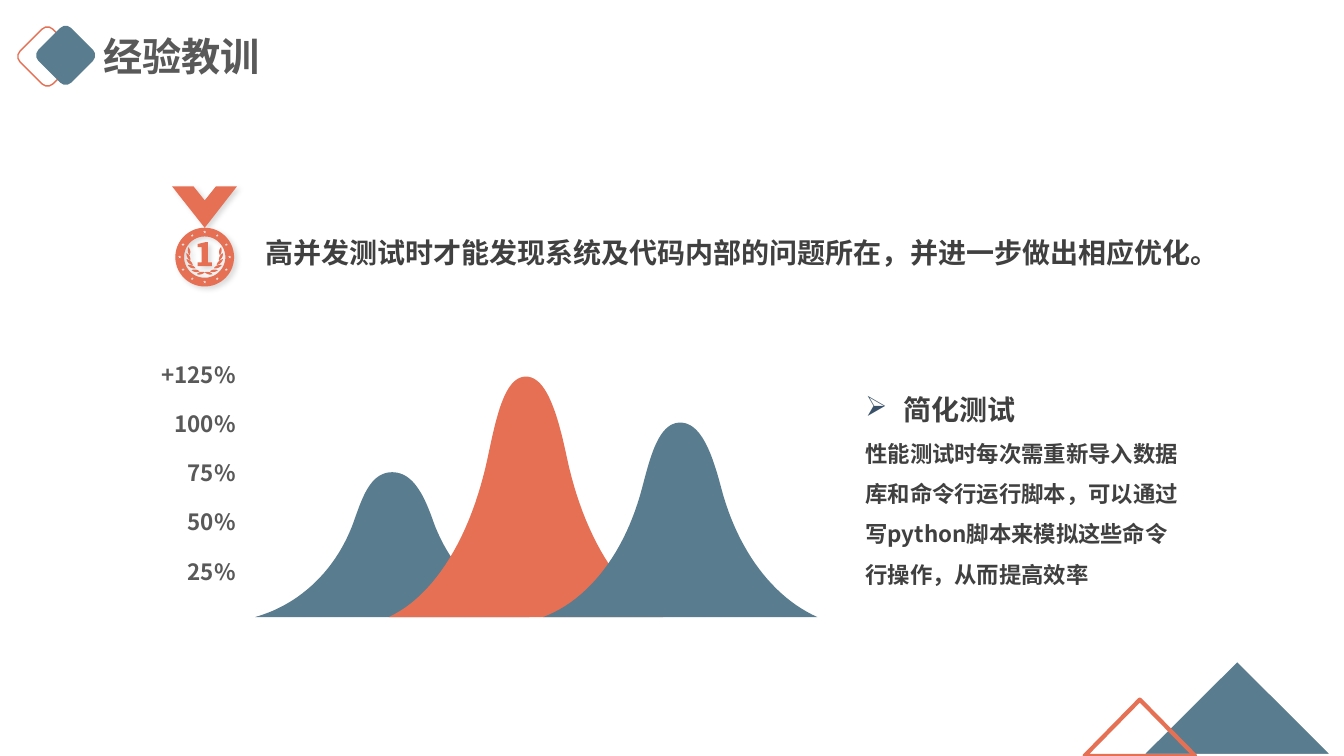
from math import cos, pi, sin

from lxml.etree import SubElement
from pptx import Presentation
from pptx.dml.color import RGBColor
from pptx.enum.shapes import MSO_SHAPE as Preset
from pptx.enum.text import MSO_ANCHOR as Anchor, MSO_AUTO_SIZE as AutoSize, PP_ALIGN as Align
from pptx.oxml.ns import qn
from pptx.util import Cm, Pt

FONT = "Noto Sans CJK SC"
BLUE, ORANGE, WHITE = "597C8F", "E67054", "FFFFFF"
GREY, DARK, ARROW = "595959", "404040", "395269"

BELL_START = (0, 0)
BELL_CURVES = [
    [(0.17, 0.09), (0.3, 0.34), (0.36, 0.66)],
    [(0.39, 0.82), (0.42, 1), (0.5, 1)],
    [(0.58, 1), (0.62, 0.82), (0.65, 0.66)],
    [(0.71, 0.34), (0.84, 0.1), (1, 0)],
]
RIBBON = [(-0.82, -1.78), (-0.28, -1.78), (0, -1.43), (0.28, -1.78), (0.81, -1.78), (0, -0.74)]
NUMERAL = [
    (0.03, -0.38), (0.08, -0.38), (0.08, 0.13), (0.18, 0.13), (0.18, 0.23), (-0.18, 0.23),
    (-0.18, 0.13), (-0.08, 0.13), (-0.08, -0.25), (-0.18, -0.25), (-0.18, -0.33),
]
LEAVES = [
    ((0, 0.38), (0.2, 0.43)), ((0.13, 0.36), (0.33, 0.33)), ((0.23, 0.28), (0.43, 0.2)),
    ((0.3, 0.2), (0.46, 0.05)), ((0.36, 0.08), (0.46, -0.1)), ((0.38, -0.05), (0.41, -0.25)),
]


def colour(hex_value):
    """Turn a hex string into a colour."""
    return RGBColor.from_string(hex_value)


def apply_format(target, values):
    """Set each attribute of the target from a dict."""
    for key, value in values.items():
        setattr(target, key, value)


def paint(shape, fill=None, line=None, width=1):
    """Give a shape its fill and outline, without a shadow."""
    shape.shadow.inherit = False
    for part, value in ((shape.fill, fill), (shape.line.fill, line)):
        if value:
            part.solid()
            part.fore_color.rgb = colour(value)
        else:
            part.background()
    if line:
        shape.line.width = Pt(width)


def add_preset(slide, preset, box, rotation=0, **look):
    """Add a preset shape at a box given in centimetres."""
    shape = slide.shapes.add_shape(preset, *map(Cm, box))
    shape.rotation = rotation
    paint(shape, **look)


def add_outline(slide, contours, fill):
    """Add one filled freeform made of closed contours."""
    contours = [[(Cm(x), Cm(y)) for x, y in contour] for contour in contours]
    builder = slide.shapes.build_freeform(*contours[0][0], scale=1.0)
    for number, (start, *rest) in enumerate(contours):
        if number:
            builder.move_to(*start)
        builder.add_line_segments(rest, close=True)
    shape = builder.convert_to_shape()
    paint(shape, fill)
    return shape


def write_paragraph(paragraph, words, size, shade, **layout):
    """Write bold text into a paragraph."""
    apply_format(paragraph, layout)
    run = paragraph.add_run()
    run.text = words
    apply_format(run.font, {"name": FONT, "size": Pt(size), "bold": True})
    run.font.color.rgb = colour(shade)
    SubElement(run.font._element, qn("a:ea"), typeface=FONT)


def add_text(slide, box, paragraphs, **frame_format):
    """Add a text box holding one paragraph for each dict."""
    frame = slide.shapes.add_textbox(*map(Cm, box)).text_frame
    apply_format(frame, {"word_wrap": True, **frame_format})
    for number, content in enumerate(paragraphs):
        paragraph = frame.add_paragraph() if number else frame.paragraphs[0]
        write_paragraph(paragraph, **content)
    return frame


def add_bullet(paragraph, symbol, shade, indent):
    """Give a paragraph a coloured bullet and a hanging indent."""
    properties = paragraph._p.get_or_add_pPr()
    properties.set("marL", str(Cm(indent)))
    properties.set("indent", str(-Cm(indent)))
    SubElement(SubElement(properties, qn("a:buClr")), qn("a:srgbClr"), val=shade)
    SubElement(properties, qn("a:buChar"), char=symbol)


def add_soft_shadow(shape):
    """Add a faint shadow towards the lower right."""
    effects = shape._element.spPr.find(qn("a:effectLst"))
    shadow = SubElement(effects, qn("a:outerShdw"), blurRad=str(Pt(4)), dist=str(Pt(3)),
                        dir="2700000", algn="tl", rotWithShape="0")
    black = SubElement(shadow, qn("a:srgbClr"), val="000000")
    SubElement(black, qn("a:alpha"), val="15000")


def bezier(points, steps=24):
    """Sample a cubic curve, leaving out its first point."""
    samples = []
    for step in range(1, steps + 1):
        t = step / steps
        weights = ((1 - t) ** 3, 3 * t * (1 - t) ** 2, 3 * t * t * (1 - t), t ** 3)
        samples.append(tuple(sum(w * p[axis] for w, p in zip(weights, points)) for axis in (0, 1)))
    return samples


def add_bell(slide, left, height, fill, base=15.55, width=6.91):
    """Add a bell curve standing on the common base."""
    profile = [BELL_START]
    for curve in BELL_CURVES:
        profile += bezier([profile[-1], *curve])
    add_outline(slide, [[(left + x * width, base - y * height) for x, y in profile]], fill)


def ring(radii, count, centre=(0, 0)):
    """Place points around a centre, alternating between the radii."""
    angles = [2 * pi * i / count - pi / 2 for i in range(count)]
    return [(centre[0] + radii[i % len(radii)] * cos(a), centre[1] + radii[i % len(radii)] * sin(a))
            for i, a in enumerate(angles)]


def leaf(start, tip, side):
    """Outline a lens from start to tip on one side of the wreath."""
    (x1, y1), (x2, y2) = start, tip
    dx, dy = x2 - x1, y2 - y1
    lower, upper = ([(x1 + dx * t - dy * bulge, y1 + dy * t + dx * bulge) for t in (0.3, 0.7)]
                    for bulge in (0.2, -0.2))
    edge = bezier([start, *lower, tip], 8) + bezier([tip, *upper[::-1], start], 8)
    return [(side * x, y) for x, y in edge]


def add_medal(slide, centre_x, centre_y):
    """Add the medal with its ribbon, stars, wreath and numeral."""
    contours = [RIBBON, ring([0.74], 72), ring([0.52], 72), NUMERAL]
    contours += [ring([0.05, 0.02], 10, star) for star in ring([0.63], 12)]
    contours += [leaf(*ends, side) for ends in LEAVES for side in (-1, 1)]
    placed = [[(centre_x + x, centre_y + y) for x, y in contour] for contour in contours]
    add_soft_shadow(add_outline(slide, placed, ORANGE))


def main():
    """Build the slide and save it."""
    deck = Presentation()
    apply_format(deck, {"slide_width": Cm(33.87), "slide_height": Cm(19.05)})
    slide = deck.slides.add_slide(deck.slide_layouts[6])
    grow = {"auto_size": AutoSize.SHAPE_TO_FIT_TEXT}

    add_preset(slide, Preset.ROUNDED_RECTANGLE, (0.61, 0.84, 1.17, 1.17), 45, line=ORANGE)
    add_preset(slide, Preset.ROUNDED_RECTANGLE, (1.07, 0.81, 1.17, 1.17), 45, fill=BLUE)
    add_text(slide, (2.36, 0.69, 4.5, 1.45), [{"words": "经验教训", "size": 28, "shade": GREY}],
             **{**grow, "word_wrap": False})

    for left, height, fill in ((6.43, 3.65, BLUE), (9.8, 6.06, ORANGE), (13.69, 4.9, BLUE)):
        add_bell(slide, left, height, fill)
    margins = {f"margin_{side}": Cm(0.08) for side in ("left", "right", "top", "bottom")}
    for row, level in enumerate(("+125%", "100%", "75%", "50%", "25%")):
        add_text(slide, (3.99, 8.94 + 1.24 * row, 2.03, 0.99),
                 [{"words": level, "size": 16, "shade": GREY, "alignment": Align.RIGHT}],
                 vertical_anchor=Anchor.MIDDLE, **margins)

    body = {"shade": DARK, "line_spacing": 1.5}
    advice = add_text(slide, (21.56, 9.35, 8.59, 5.51), [
        {"words": "简化测试", "size": 20, "alignment": Align.JUSTIFY, **body},
        {"words": "性能测试时每次需重新导入数据库和命令行运行脚本，可以通过写python脚本来模拟这些命令行操作，从而提高效率",
         "size": 16, **body},
    ], **grow)
    add_bullet(advice.paragraphs[0], "➢", ARROW, 0.95)

    add_preset(slide, Preset.ISOSCELES_TRIANGLE, (28.73, 16.61, 4.9, 2.44), fill=BLUE, line=WHITE, width=3)
    add_preset(slide, Preset.ISOSCELES_TRIANGLE, (27.33, 17.63, 2.79, 1.42), line=ORANGE, width=3)
    add_text(slide, (6.43, 5.38, 24.13, 1.4), [
        {"words": "高并发测试时才能发现系统及代码内部的问题所在，并进一步做出相应优化。", "size": 20, **body},
    ], **grow)
    add_medal(slide, 5.16, 6.48)
    deck.save("out.pptx")


if __name__ == "__main__":
    main()
